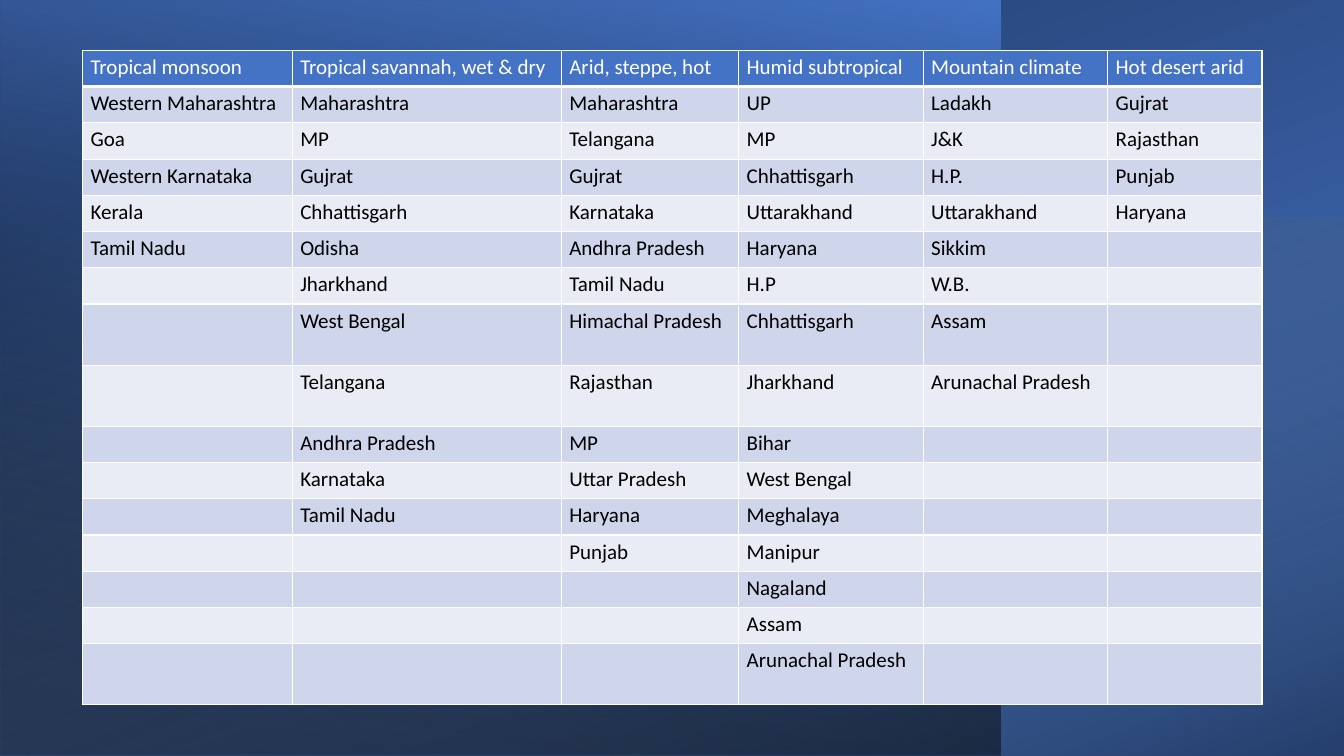
from itertools import zip_longest

from lxml.etree import SubElement
from pptx import Presentation
from pptx.dml.color import RGBColor
from pptx.enum.shapes import MSO_SHAPE
from pptx.oxml.ns import qn
from pptx.util import Pt

# Content: each climate with its column width and its states
CLIMATES = [
    ("Tropical monsoon", 149.8, [
        "Western Maharashtra", "Goa", "Western Karnataka", "Kerala", "Tamil Nadu"]),
    ("Tropical savannah, wet & dry", 192.2, [
        "Maharashtra", "MP", "Gujrat", "Chhattisgarh", "Odisha", "Jharkhand",
        "West Bengal", "Telangana", "Andhra Pradesh", "Karnataka", "Tamil Nadu"]),
    ("Arid, steppe, hot", 126.7, [
        "Maharashtra", "Telangana", "Gujrat", "Karnataka", "Andhra Pradesh",
        "Tamil Nadu", "Himachal Pradesh", "Rajasthan", "MP", "Uttar Pradesh",
        "Haryana", "Punjab"]),
    ("Humid subtropical", 131.8, [
        "UP", "MP", "Chhattisgarh", "Uttarakhand", "Haryana", "H.P",
        "Chhattisgarh", "Jharkhand", "Bihar", "West Bengal", "Meghalaya",
        "Manipur", "Nagaland", "Assam", "Arunachal Pradesh"]),
    ("Mountain climate", 131.8, [
        "Ladakh", "J&K", "H.P.", "Uttarakhand", "Sikkim", "W.B.", "Assam",
        "Arunachal Pradesh"]),
    ("Hot desert arid", 110.2, ["Gujrat", "Rajasthan", "Punjab", "Haryana"]),
]
TALL_ROWS = {7, 8, 15}
ROW_HEIGHT, TALL_HEIGHT = 25.9, 43.7
TABLE_LEFT, TABLE_TOP = 59, 36

COLORS = {
    "header": "4472C4", "odd": "CFD5EA", "even": "E9EBF5",
    "white": "FFFFFF", "black": "000000",
    "blue": "4472C4", "navy": "203864", "sky": "9DC3E6",
}

# Backdrop: box, rotation, clockwise gradient angle, stops (position, colour, opacity %)
BACKDROP = [
    ((210, -210, 540, 960), 270, 200, [(0.08, "blue", 100), (1, "navy", 100)]),
    ((0, 0, 714.3, 540), 180, 80, [(0.08, "black", 52), (1, "blue", 100)]),
    ((287.3, -132.5, 385.2, 960.5), 270, 20, [(0, "sky", 0), (1, "black", 46)]),
]

CELL_FORMAT = {"margin_left": Pt(5.7), "margin_right": Pt(5.7),
               "margin_top": Pt(2.9), "margin_bottom": Pt(2.9)}
FONT_FORMAT = {"name": "Calibri", "size": Pt(15), "bold": False}


def rgb(name):
    return RGBColor.from_string(COLORS[name])


def apply(target, settings):
    for key, value in settings.items():
        setattr(target, key, value)


def add_backdrop(slide, box, rotation, angle, stops):
    panel = slide.shapes.add_shape(MSO_SHAPE.RECTANGLE, *map(Pt, box))
    panel.rotation = rotation
    panel.shadow.inherit = False
    panel.line.fill.background()
    panel.fill.gradient()
    panel.fill.gradient_angle = 360 - angle
    for stop, (position, color, opacity) in zip(panel.fill.gradient_stops, stops):
        stop.position = position
        stop.color.rgb = rgb(color)
    # Mirroring and opacity
    properties = panel._element.spPr
    properties.find(qn("a:xfrm")).set("flipH", "1")
    for tint, (_, _, opacity) in zip(properties.iter(qn("a:srgbClr")), stops):
        if opacity < 100:
            SubElement(tint, qn("a:alpha"), val=str(opacity * 1000))


def add_borders(cell, bottom_width):
    properties = cell._tc.get_or_add_tcPr()
    for side, width in (("L", 1), ("R", 1), ("T", 1), ("B", bottom_width)):
        border = SubElement(properties, qn(f"a:ln{side}"), w=str(Pt(width)))
        fill = SubElement(border, qn("a:solidFill"))
        SubElement(fill, qn("a:srgbClr"), val=COLORS["white"])


def fill_cell(cell, state, row):
    add_borders(cell, 3 if row == 0 else 1)
    apply(cell, CELL_FORMAT)
    cell.fill.solid()
    cell.fill.fore_color.rgb = rgb("header" if row == 0 else "odd" if row % 2 else "even")
    paragraph = cell.text_frame.paragraphs[0]
    if state:
        run = paragraph.add_run()
        run.text = state
        apply(run.font, FONT_FORMAT)
        run.font.color.rgb = rgb("white" if row == 0 else "black")
    else:
        # Keeps an empty cell from stretching its row
        SubElement(paragraph._p, qn("a:endParaRPr"), sz="1500")


def main():
    presentation = Presentation()
    apply(presentation, {"slide_width": Pt(960), "slide_height": Pt(540)})
    slide = presentation.slides.add_slide(presentation.slide_layouts[6])

    for panel in BACKDROP:
        add_backdrop(slide, *panel)

    # Climate table
    rows = list(zip_longest(*([name, *states] for name, _, states in CLIMATES), fillvalue=""))
    widths = [width for _, width, _ in CLIMATES]
    heights = [TALL_HEIGHT if row in TALL_ROWS else ROW_HEIGHT for row in range(len(rows))]
    climate_table = slide.shapes.add_table(
        len(rows), len(widths), Pt(TABLE_LEFT), Pt(TABLE_TOP),
        Pt(sum(widths)), Pt(sum(heights))).table
    for column, width in zip(climate_table.columns, widths):
        column.width = Pt(width)
    for row, (states, height) in enumerate(zip(rows, heights)):
        climate_table.rows[row].height = Pt(height)
        for column, state in enumerate(states):
            fill_cell(climate_table.cell(row, column), state, row)

    presentation.save("out.pptx")


if __name__ == "__main__":
    main()
